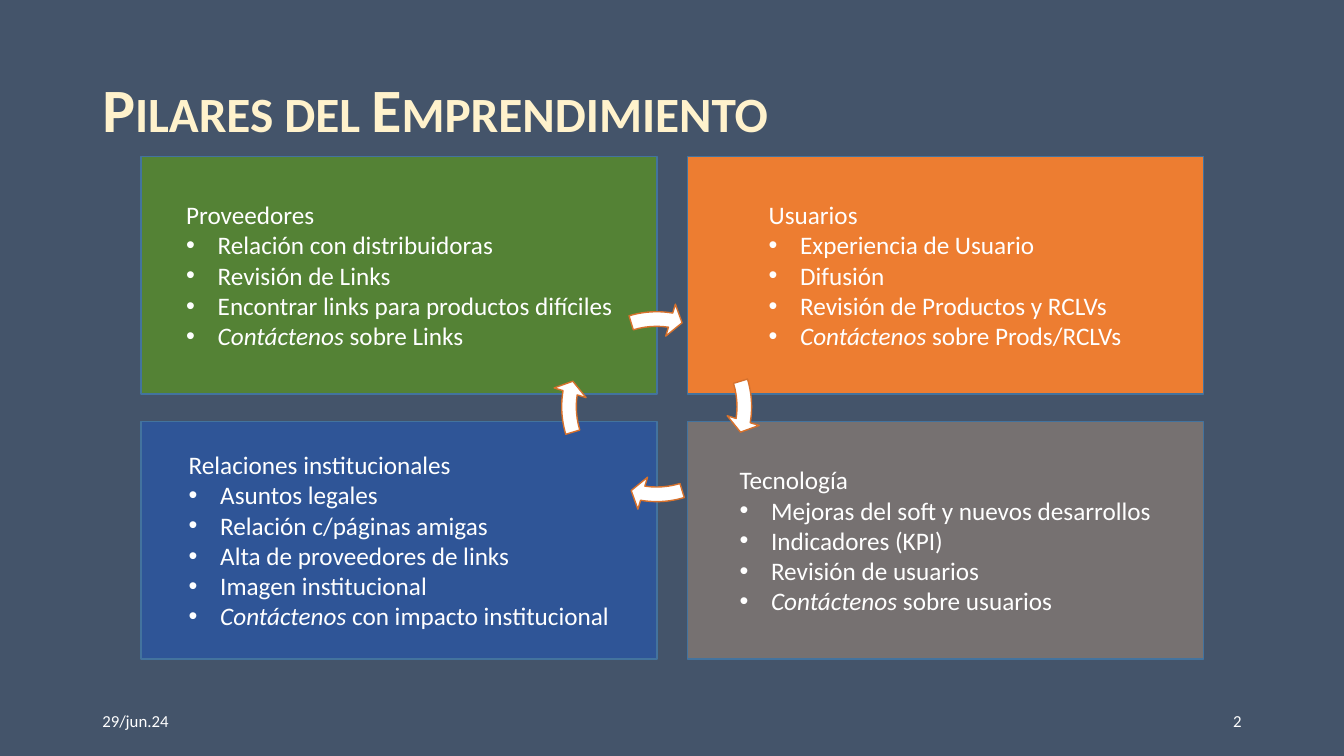
from dataclasses import dataclass

import pptx
import pptx.dml.color
import pptx.enum.shapes
import pptx.enum.text
import pptx.oxml
import pptx.oxml.ns
import pptx.util
from pptx.shapes.autoshape import Shape
from pptx.slide import Slide

Pt = pptx.util.Pt
ALIGN = pptx.enum.text.PP_ALIGN
ANCHOR = pptx.enum.text.MSO_ANCHOR
SHAPE = pptx.enum.shapes.MSO_SHAPE

FONT = "Calibri"
COLORS = {
    "background": "44546A",
    "title": "FFF2CC",
    "white": "FFFFFF",
    "green": "548235",
    "orange": "ED7D31",
    "blue": "2F5597",
    "gray": "767171",
    "box line": "43739E",
    "arrow line": "D7712C",
}

BOX_LEFT, BOX_TOP = 100.8, 111.6
BOX_WIDTH, BOX_HEIGHT = 368.64, 169.92
COLUMN_STEP, ROW_STEP = 390.24, 189.36
BULLET_INDENT = 22.5

CYCLE_LEFT, CYCLE_TOP, CYCLE_SIZE = 394.56, 216, 149.04
# Angles are in sixtieths of a thousandth of a degree, divided by 100000.
FULL_TURN = 216
QUARTER_TURN = FULL_TURN / 4


@dataclass(frozen=True)
class Pillar:
    heading: str
    tasks: tuple[str, ...]
    contact_topic: str
    color: str
    column: int
    row: int
    text_inset: float


@dataclass(frozen=True)
class Label:
    text: str
    left: float
    top: float
    width: float
    height: float
    size: float
    color: str = "white"
    alignment: ALIGN = ALIGN.LEFT
    anchor: ANCHOR = ANCHOR.MIDDLE
    line_spacing: float = 1.0
    heading: bool = False


PILLARS = (
    Pillar("Proveedores",
           ("Relación con distribuidoras", "Revisión de Links",
            "Encontrar links para productos difíciles"),
           "sobre Links", "green", 0, 0, 32.2),
    Pillar("Usuarios",
           ("Experiencia de Usuario", "Difusión", "Revisión de Productos y RCLVs"),
           "sobre Prods/RCLVs", "orange", 1, 0, 58),
    Pillar("Relaciones institucionales",
           ("Asuntos legales", "Relación c/páginas amigas",
            "Alta de proveedores de links", "Imagen institucional"),
           "con impacto institucional", "blue", 0, 1, 34),
    Pillar("Tecnología",
           ("Mejoras del soft y nuevos desarrollos", "Indicadores (KPI)",
            "Revisión de usuarios"),
           "sobre usuarios", "gray", 1, 1, 37.2),
)

LABELS = (
    Label("Pilares del Emprendimiento", 66, 53.28, 828, 55.44, 44, "title",
          anchor=ANCHOR.TOP, line_spacing=0.9, heading=True),
    Label("29/jun.24", 66, 500.4, 216, 28.8, 12),
    Label("2", 678, 500.4, 216, 28.8, 12, alignment=ALIGN.RIGHT),
)


def rgb(name: str) -> pptx.dml.color.RGBColor:
    return pptx.dml.color.RGBColor.from_string(COLORS[name])


def style_font(font: pptx.text.text.Font, size: float, color: str) -> None:
    font.name = FONT
    font.size = Pt(size)
    font.color.rgb = rgb(color)


def style_shape(shape: Shape, fill: str, line: str) -> None:
    shape.shadow.inherit = False
    shape.fill.solid()
    shape.fill.fore_color.rgb = rgb(fill)
    shape.line.color.rgb = rgb(line)
    shape.line.width = Pt(1)


def add_bullet(paragraph: pptx.text.text._Paragraph) -> None:
    properties = paragraph._p.get_or_add_pPr()
    properties.set("marL", str(Pt(BULLET_INDENT)))
    properties.set("indent", str(-Pt(BULLET_INDENT)))
    namespace = pptx.oxml.ns.nsdecls("a")
    for tag in ('buFont typeface="Arial"', 'buChar char="•"'):
        properties.append(pptx.oxml.parse_xml(f"<a:{tag} {namespace}/>"))


def add_label(slide: Slide, label: Label) -> None:
    shape = slide.shapes.add_textbox(
        Pt(label.left), Pt(label.top), Pt(label.width), Pt(label.height))
    text_frame = shape.text_frame
    text_frame.word_wrap = True
    text_frame.vertical_anchor = label.anchor
    text_frame.text = label.text
    paragraph = text_frame.paragraphs[0]
    paragraph.alignment = label.alignment
    paragraph.line_spacing = label.line_spacing
    run = paragraph.runs[0]
    style_font(run.font, label.size, label.color)
    if label.heading:
        run.font.bold = True
        run._r.get_or_add_rPr().set("cap", "small")


def add_pillar(slide: Slide, pillar: Pillar) -> None:
    shape = slide.shapes.add_shape(
        SHAPE.RECTANGLE,
        Pt(BOX_LEFT + pillar.column * COLUMN_STEP),
        Pt(BOX_TOP + pillar.row * ROW_STEP),
        Pt(BOX_WIDTH), Pt(BOX_HEIGHT))
    style_shape(shape, pillar.color, "box line")
    text_frame = shape.text_frame
    text_frame.word_wrap = True
    text_frame.vertical_anchor = ANCHOR.MIDDLE
    text_frame.margin_left = Pt(pillar.text_inset)
    text_frame.margin_right = Pt(14.4)
    text_frame.text = "\n".join((pillar.heading, *pillar.tasks, "Contáctenos"))
    contact = text_frame.paragraphs[-1]
    contact.runs[0].font.italic = True
    contact.add_run().text = f" {pillar.contact_topic}"
    for index, paragraph in enumerate(text_frame.paragraphs):
        paragraph.alignment = ALIGN.LEFT
        if index > 0:
            add_bullet(paragraph)
        for run in paragraph.runs:
            style_font(run.font, 18, "white")


def add_cycle_arrow(slide: Slide, quarter: int) -> None:
    """Draw one arc of the clockwise cycle; quarter 0 is on the right."""
    shape = slide.shapes.add_shape(
        SHAPE.CIRCULAR_ARROW, Pt(CYCLE_LEFT), Pt(CYCLE_TOP),
        Pt(CYCLE_SIZE), Pt(CYCLE_SIZE))
    turn = quarter * QUARTER_TURN
    values = (0.07, 4.66, 5.48 + turn, (205.86 + turn) % FULL_TURN, 0.08)
    for index, value in enumerate(values):
        shape.adjustments[index] = value
    style_shape(shape, "white", "arrow line")


def main() -> None:
    presentation = pptx.Presentation()
    presentation.slide_width = Pt(960)
    presentation.slide_height = Pt(540)
    slide = presentation.slides.add_slide(presentation.slide_layouts[6])
    slide.background.fill.solid()
    slide.background.fill.fore_color.rgb = rgb("background")
    for label in LABELS:
        add_label(slide, label)
    for pillar in PILLARS:
        add_pillar(slide, pillar)
    for quarter in range(4):
        add_cycle_arrow(slide, quarter)
    presentation.save("out.pptx")


if __name__ == "__main__":
    main()
